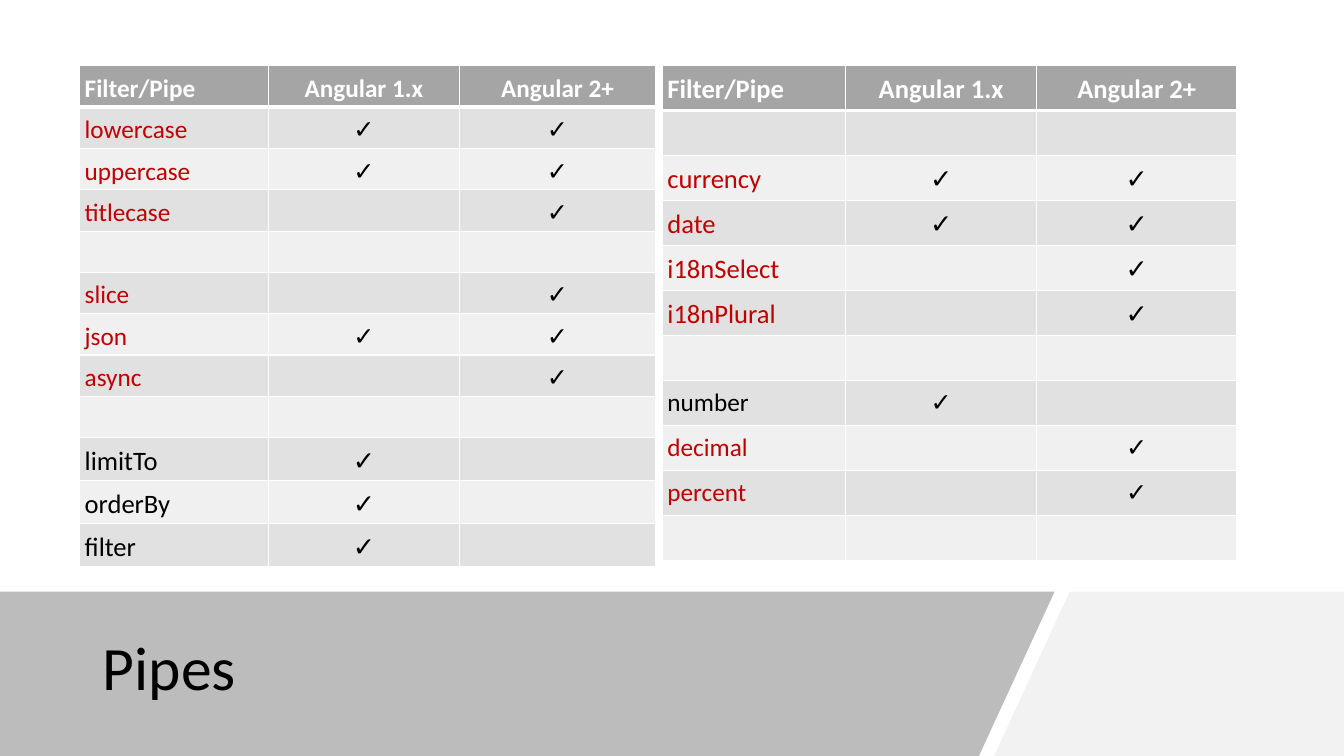
from lxml import etree
from pptx import Presentation
from pptx import util as u
from pptx.dml.color import RGBColor
from pptx.enum import text
from pptx.oxml import ns

WHITE = RGBColor(0xFF, 0xFF, 0xFF)
BLACK = RGBColor(0x00, 0x00, 0x00)
RED = RGBColor(0xC0, 0x00, 0x00)
HEADER_GRAY = RGBColor(0xA5, 0xA5, 0xA5)
BAND_DARK = RGBColor(0xE1, 0xE1, 0xE1)
BAND_LIGHT = RGBColor(0xF0, 0xF0, 0xF0)
FOOTER_DARK = RGBColor(0x59, 0x59, 0x59)
FOOTER_LIGHT = RGBColor(0xF2, 0xF2, 0xF2)

LEFT, CENTER = text.PP_ALIGN.LEFT, text.PP_ALIGN.CENTER
HEADINGS = ("Filter/Pipe", "Angular 1.x", "Angular 2+")

# Each row: name, in Angular 1.x, in Angular 2+, text size; None is a gap row
TEXT_PIPES = [
    ("lowercase", True, True, 18),
    ("uppercase", True, True, 18),
    ("titlecase", False, True, 18),
    None,
    ("slice", False, True, 18),
    ("json", True, True, 18),
    ("async", False, True, 18),
    None,
    ("limitTo", True, False, 19),
    ("orderBy", True, False, 19),
    ("filter", True, False, 19),
]
FORMAT_PIPES = [
    None,
    ("currency", True, True, 19),
    ("date", True, True, 19),
    ("i18nSelect", False, True, 19),
    ("i18nPlural", False, True, 19),
    None,
    ("number", True, False, 18),
    ("decimal", False, True, 18),
    ("percent", False, True, 18),
    None,
]


def write(frame, words, size=18, color=BLACK, bold=False, align=LEFT,
          spacing=1.15, font="Calibri"):
    """Put one formatted paragraph in a text frame."""
    frame.text = words
    paragraph = frame.paragraphs[0]
    paragraph.alignment = align
    paragraph.line_spacing = spacing
    style = paragraph.runs[0].font
    style.name, style.size, style.bold = font, u.Pt(size), bold
    style.color.rgb = color


class PipeSlide:
    def __init__(self, deck):
        self.slide = deck.slides.add_slide(deck.slide_layouts[5])

    def area(self, points, color, alpha=None):
        """Filled polygon, with optional opacity in percent."""
        corners = [(u.Inches(x), u.Inches(y)) for x, y in points]
        builder = self.slide.shapes.build_freeform(*corners[0])
        builder.add_line_segments(corners[1:], close=True)
        shape = builder.convert_to_shape()
        shape.shadow.inherit = False
        shape.line.fill.background()
        shape.fill.solid()
        shape.fill.fore_color.rgb = color
        if alpha is not None:
            rgb = shape.element.spPr.find(".//" + ns.qn("a:srgbClr"))
            etree.SubElement(rgb, ns.qn("a:alpha"), val=str(alpha * 1000))

    def borders(self, cell, bottom):
        properties = cell._tc.get_or_add_tcPr()
        for side, points in (("L", 1), ("R", 1), ("T", 1), ("B", bottom)):
            line = etree.SubElement(properties, ns.qn("a:ln" + side),
                                    w=str(u.Pt(points)))
            fill = etree.SubElement(line, ns.qn("a:solidFill"))
            etree.SubElement(fill, ns.qn("a:srgbClr"), val=str(WHITE))

    def cell(self, cell, words, fill, bottom=1, **style):
        cell.margin_left = cell.margin_right = u.Inches(0.05)
        cell.margin_top = cell.margin_bottom = u.Inches(0.03)
        self.borders(cell, bottom)
        cell.fill.solid()
        cell.fill.fore_color.rgb = fill
        if words:
            write(cell.text_frame, words, **style)

    def pipe_table(self, left, height, widths, pipes, header_size):
        grid = self.slide.shapes.add_table(
            len(pipes) + 1, len(widths), u.Inches(left), u.Inches(0.65),
            u.Inches(sum(widths)), u.Inches(height)).table
        for column, width in zip(grid.columns, widths):
            column.width = u.Inches(width)
        aligns = (LEFT, CENTER, CENTER)
        for col, heading in enumerate(HEADINGS):
            self.cell(grid.cell(0, col), heading, HEADER_GRAY, bottom=3,
                      size=header_size, color=WHITE, bold=True,
                      align=aligns[col])
        for row, pipe in enumerate(pipes, 1):
            name, in_first, in_second, size = pipe or ("", False, False, 18)
            marks = ["✓" if found else "" for found in (in_first, in_second)]
            colors = (RED if in_second else BLACK, BLACK, BLACK)
            band = BAND_DARK if row % 2 else BAND_LIGHT
            for col, words in enumerate([name] + marks):
                self.cell(grid.cell(row, col), words, band, size=size,
                          color=colors[col], align=aligns[col])

    def title(self, words):
        title = self.slide.shapes.title
        title.left, title.top = u.Inches(0.92), u.Inches(6.05)
        title.width, title.height = u.Inches(8.83), u.Inches(1.2)
        frame = title.text_frame
        frame.word_wrap = True
        frame.vertical_anchor = text.MSO_ANCHOR.MIDDLE
        write(frame, words, size=44, spacing=0.9)
        # Bring the title in front of the footer band
        title.element.getparent().append(title.element)


def main():
    deck = Presentation()
    deck.slide_width, deck.slide_height = u.Inches(13.33), u.Inches(7.5)
    page = PipeSlide(deck)

    # Footer band
    page.area([(10.61, 5.87), (13.33, 5.87), (13.33, 7.5), (9.86, 7.5)],
              FOOTER_LIGHT)
    page.area([(0, 5.87), (10.46, 5.87), (9.71, 7.5), (0, 7.5)],
              FOOTER_DARK, alpha=40)

    # Comparison tables
    page.pipe_table(0.79, 4.88, (1.87, 1.9, 1.94), TEXT_PIPES, 18)
    page.pipe_table(6.57, 4.91, (1.82, 1.89, 1.99), FORMAT_PIPES, 19)

    # Title
    page.title("Pipes")
    deck.save("out.pptx")


if __name__ == "__main__":
    main()
